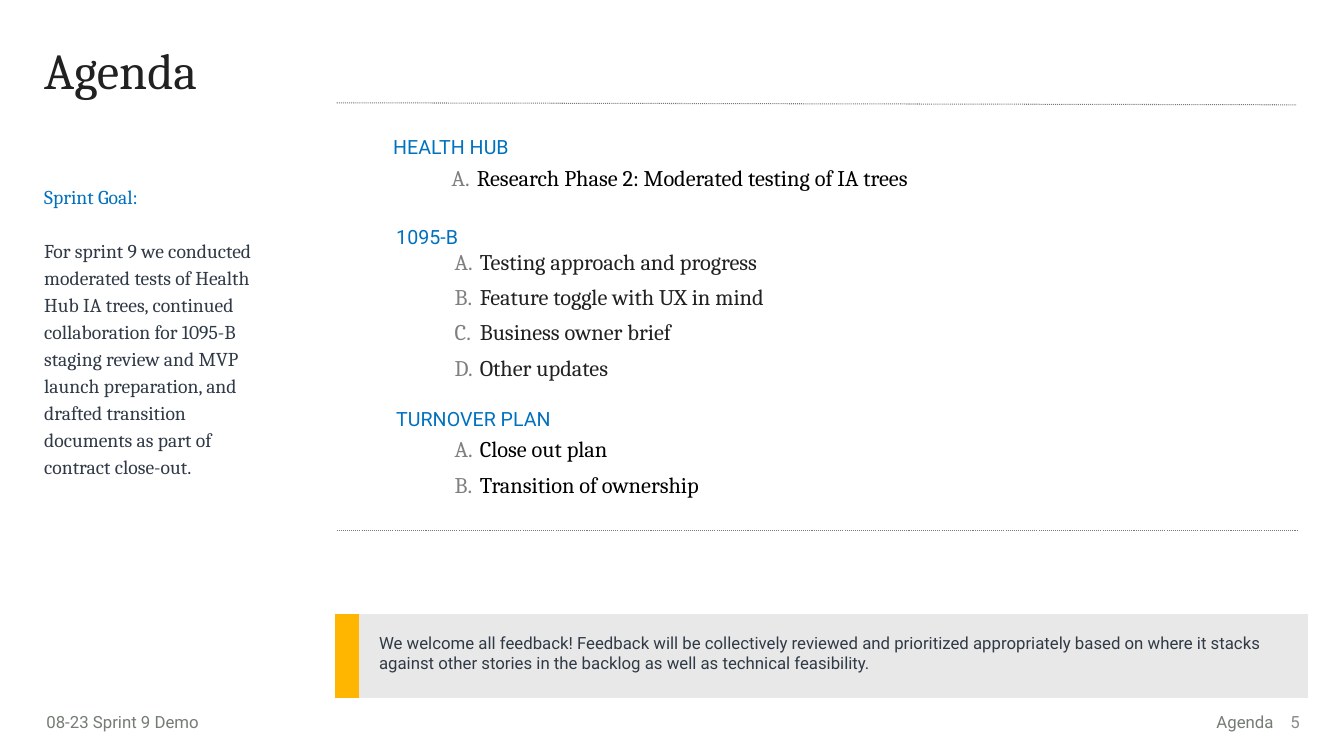
from lxml.etree import SubElement, Element
from pptx import Presentation
from pptx.dml.color import RGBColor as Rgb
from pptx.enum.dml import MSO_LINE_DASH_STYLE as Dash
from pptx.enum.shapes import MSO_CONNECTOR as Connector
from pptx.enum.text import MSO_ANCHOR as Anchor, PP_ALIGN as Align
from pptx.oxml.ns import qn
from pptx.util import Inches, Pt

COLORS = {
    "ink": "202120", "black": "000000", "blue": "0071BF", "slate": "303A46",
    "gray": "747C74", "number": "8A8A8A", "marker": "7F7F7F",
    "amber": "FEB600", "panel": "E8E8E8",
}
SERIF, SANS = "Cambria", "Roboto"
SECTIONS = [
    ("HEALTH HUB", 3.9, 1.29, 0.34, "black",
     ["Research Phase 2: Moderated testing of IA trees"]),
    ("1095-B", 3.93, 2.18, 0.28, "ink",
     ["Testing approach and progress", "Feature toggle with UX in mind",
      "Business owner brief", "Other updates"]),
    ("TURNOVER PLAN", 3.93, 3.99, 0.33, "black",
     ["Close out plan", "Transition of ownership"]),
]
GOAL = ("For sprint 9 we conducted moderated tests of Health Hub IA trees, "
        "continued collaboration for 1095-B staging review and MVP launch "
        "preparation, and drafted transition documents as part of contract "
        "close-out.")
FEEDBACK = ("We welcome all feedback! Feedback will be collectively reviewed "
            "and prioritized appropriately based on where it stacks against "
            "other stories in the backlog as well as technical feasibility.")


def color(name):
    """Return the named palette colour."""
    return Rgb.from_string(COLORS[name])


def add_box(page, left, top, width, height, margins=(0.1, 0.05, 0.1, 0.05)):
    """Add a wrapping text box and return its text frame."""
    box = page.shapes.add_textbox(*map(Inches, (left, top, width, height)))
    frame = box.text_frame
    frame.word_wrap = True
    (frame.margin_left, frame.margin_top,
     frame.margin_right, frame.margin_bottom) = map(Inches, margins)
    return frame


def add_span(para, text, size, font, tint):
    """Add one styled run to a paragraph."""
    span = para.add_run()
    span.text = text
    span.font.size = Pt(size)
    span.font.name = font
    span.font.color.rgb = color(tint)


def add_letter(para):
    """Give a paragraph a hanging gray letter marker."""
    props = para._p.get_or_add_pPr()
    props.set("marL", str(Inches(0.25)))
    props.set("indent", str(-Inches(0.25)))
    tint = SubElement(props, qn("a:buClr"))
    SubElement(tint, qn("a:srgbClr"), val=COLORS["marker"])
    SubElement(props, qn("a:buFont"), typeface=SERIF)
    SubElement(props, qn("a:buAutoNum"), type="alphaUcPeriod")


def add_title(page, left, top, width, height):
    """Place the slide title."""
    para = add_box(page, left, top, width, height).paragraphs[0]
    para.line_spacing = 0.9
    add_span(para, "Agenda", 36, SERIF, "ink")


def add_goal(page, left, top, width, height):
    """Place the sprint goal column."""
    frame = add_box(page, left, top, width, height)
    heading, body = frame.paragraphs[0], frame.add_paragraph()
    heading.line_spacing = body.line_spacing = 1.15
    body.space_before = Pt(19.3)
    add_span(heading, "Sprint Goal:", 14, SERIF, "blue")
    add_span(body, GOAL, 14, SERIF, "slate")


def add_section(page, left, top, heading, drop, tint, items):
    """Place an agenda heading with its lettered items below."""
    frame = add_box(page, left, top, 5.28, 0.4, (0, 0.05, 0, 0.05))
    add_span(frame.paragraphs[0], heading, 14, SANS, "blue")
    height = 0.27 + 0.35 * (len(items) - 1)
    frame = add_box(page, left + 0.58, top + drop, 6.8, height, (0, 0, 0, 0))
    for index, item in enumerate(items):
        para = frame.add_paragraph() if index else frame.paragraphs[0]
        if index:
            para.space_before = Pt(6)
        add_letter(para)
        add_span(para, item, 16, SERIF, tint)


def add_rule(page, left, top, right, bottom):
    """Draw a dotted divider."""
    rule = page.shapes.add_connector(
        Connector.STRAIGHT, *map(Inches, (left, top, right, bottom)))
    rule.line.color.rgb = color("gray")
    rule.line.width = Pt(0.75)
    rule.line.dash_style = Dash.ROUND_DOT
    SubElement(rule._element.spPr, qn("a:effectLst"))


def add_feedback(page, left, top, widths, height):
    """Place the feedback note with its amber edge."""
    table = page.shapes.add_table(
        1, 2, *map(Inches, (left, top, sum(widths), height))).table
    table.first_row = table.horz_banding = False
    table.rows[0].height = Inches(height)
    for index, (width, tint) in enumerate(zip(widths, ("amber", "panel"))):
        table.columns[index].width = Inches(width)
        cell = table.cell(0, index)
        cell.fill.solid()
        cell.fill.fore_color.rgb = color(tint)
        props = cell._tc.get_or_add_tcPr()
        for place, side in enumerate(("lnL", "lnR", "lnT", "lnB")):
            border = Element(qn(f"a:{side}"), w="0")
            SubElement(border, qn("a:noFill"))
            props.insert(place, border)
    note = table.cell(0, 1)
    note.margin_left = note.margin_right = Inches(0.2)
    note.margin_top = note.margin_bottom = Inches(0.2)
    add_span(note.text_frame.paragraphs[0], FEEDBACK, 12, SANS, "slate")


def add_footer(page, left, top, right):
    """Place the deck name, section name and page number."""
    frame = add_box(page, left, top, 2.98, 0.3, (0, 0.05, 0.1, 0.05))
    add_span(frame.paragraphs[0], "08-23 Sprint 9 Demo", 12, SANS, "gray")
    section = add_box(page, right - 3.24, top, 2.98, 0.3).paragraphs[0]
    section.alignment = Align.RIGHT
    add_span(section, "Agenda", 12, SANS, "gray")
    frame = add_box(page, right - 0.44, top - 0.05, 0.44, 0.4)
    frame.vertical_anchor = Anchor.MIDDLE
    number = frame.paragraphs[0]
    number.alignment = Align.RIGHT
    add_span(number, "5", 12, SANS, "number")


def main():
    """Build and save the agenda slide."""
    deck = Presentation()
    deck.slide_width, deck.slide_height = Inches(13.33), Inches(7.5)
    page = deck.slides.add_slide(deck.slide_layouts[6])
    add_title(page, 0.34, 0.41, 7.13, 0.82)
    add_goal(page, 0.34, 1.75, 2.47, 3.91)
    add_rule(page, 3.34, 1.02, 12.86, 1.04)
    for heading, left, top, drop, tint, items in SECTIONS:
        add_section(page, left, top, heading, drop, tint, items)
    add_rule(page, 3.34, 5.26, 12.86, 5.26)
    add_feedback(page, 3.32, 6.09, (0.13, 9.41), 0.83)
    add_footer(page, 0.46, 7.01, 12.99)
    deck.save("out.pptx")


if __name__ == "__main__":
    main()
